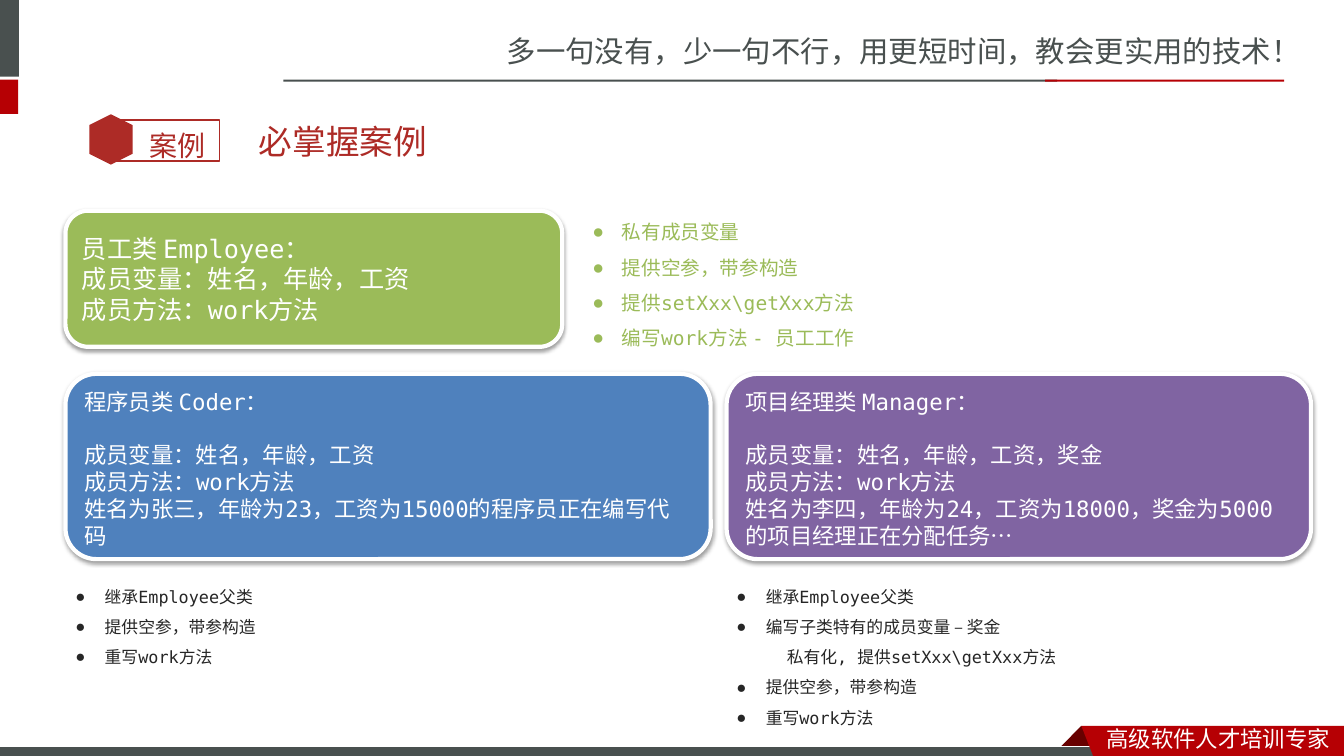
from dataclasses import dataclass
from lxml.etree import SubElement
from pptx import Presentation
from pptx.dml.color import RGBColor
from pptx.enum.shapes import MSO_SHAPE
from pptx.enum.text import MSO_ANCHOR, MSO_AUTO_SIZE, PP_ALIGN
from pptx.oxml.ns import qn
from pptx.util import Cm, Pt


@dataclass(frozen=True)
class Theme:
    gray: str = "49504F"
    red: str = "B60004"
    dark: str = "680000"
    brick: str = "AD2B26"
    green: str = "9BBB59"
    blue: str = "4F81BD"
    plum: str = "8064A2"
    ink: str = "262626"
    white: str = "FFFFFF"
    black: str = "000000"
    mono: str = "DejaVu Sans Mono"
    sans: str = "Noto Sans CJK SC"
    label: str = "Lato"
    head: str = "Arial"
    title: int = 24
    motto: int = 21
    badge: int = 20
    lead: int = 18
    body: int = 16
    note: int = 14
    small: int = 12


T = Theme()
TITLE = "必掌握案例"
MOTTO = "多一句没有，少一句不行，用更短时间，教会更实用的技术！"
FOOTER = "高级软件人才培训专家"
BADGE = "案例"
LEFT, RIGHT = 1.65, 18.31
MID, LOW = 9.42, 14.4

BARS = [
    ((-0.15, 0, 0.63, 1.93), T.gray),
    ((-0.15, 2.01, 0.61, 0.86), T.red),
    ((7.14, 2.01, 19.5, 0.05), T.gray),
    ((26.34, 2.01, 6.02, 0.05), T.red),
]
BASE = (-0.03, 18.82, 27.94, 0.3)
FOLD = [(27.25, 18.29), (27.81, 18.85), (27.79, 18.87), (26.72, 18.87), (26.7, 18.85)]
RIBBON = [(27.25, 18.29), (33.87, 18.29), (33.87, 19.15), (27.58, 19.13)]

CARDS = [
    ((RIGHT, MID, 14.73, 4.67), T.plum, T.body, MSO_ANCHOR.TOP, 19, [
        "项目经理类 Manager：",
        "成员变量：姓名，年龄，工资，奖金",
        "成员方法：work方法",
        "姓名为李四，年龄为24，工资为18000，奖金为5000的项目经理正在分配任务…",
    ]),
    ((LEFT, MID, 16.26, 4.67), T.blue, T.body, MSO_ANCHOR.TOP, 19, [
        "程序员类 Coder：",
        "成员变量：姓名，年龄，工资",
        "成员方法：work方法",
        "姓名为张三，年龄为23，工资为15000的程序员正在编写代码",
    ]),
    ((LEFT, 5.31, 12.52, 3.43), T.green, T.lead, MSO_ANCHOR.MIDDLE, 0, [
        "员工类 Employee：",
        "成员变量：姓名，年龄，工资",
        "成员方法：work方法",
    ]),
]

NOTES = [
    ((14.68, 5.13, 9.58, 3.76), T.green, T.note, [
        (0, "私有成员变量"),
        (0, "提供空参，带参构造"),
        (0, "提供setXxx\\getXxx方法"),
        (0, "编写work方法 - 员工工作"),
    ]),
    ((LEFT, LOW, 14.45, 2.49), T.ink, T.small, [
        (0, "继承Employee父类"),
        (0, "提供空参，带参构造"),
        (0, "重写work方法"),
    ]),
    ((RIGHT, LOW, 15.54, 4.04), T.ink, T.small, [
        (0, "继承Employee父类"),
        (0, "编写子类特有的成员变量 – 奖金"),
        (1, "私有化, 提供setXxx\\getXxx方法"),
        (0, "提供空参，带参构造"),
        (0, "重写work方法"),
    ]),
]


def paint(shape, fill=None, line=None, width=1):
    shape.shadow.inherit = False
    if fill:
        shape.fill.solid()
        shape.fill.fore_color.rgb = RGBColor.from_string(fill)
    else:
        shape.fill.background()
    if line:
        shape.line.color.rgb = RGBColor.from_string(line)
        shape.line.width = Pt(width)
    else:
        shape.line.fill.background()


def block(home, kind, at, fill=None, line=None, width=1):
    shape = home.add_shape(kind, *map(Cm, at))
    paint(shape, fill, line, width)
    return shape


def outline(home, spots, fill):
    first, *rest = [(Cm(x), Cm(y)) for x, y in spots]
    pen = home.build_freeform(*first)
    pen.add_line_segments(rest, close=True)
    paint(pen.convert_to_shape(), fill)


def shade(shape):
    effects = shape._element.spPr.find(qn("a:effectLst"))
    outer = SubElement(effects, qn("a:outerShdw"), blurRad=str(Pt(3.1)),
                       dist=str(Pt(1.6)), dir="5400000", rotWithShape="0")
    tint = SubElement(outer, qn("a:srgbClr"), val=T.black)
    SubElement(tint, qn("a:alpha"), val="38000")


def style(para, face, size, color):
    para.alignment = PP_ALIGN.LEFT
    for run in para.runs:
        run.font.name = face
        run.font.size = Pt(size)
        run.font.color.rgb = RGBColor.from_string(color)
        SubElement(run._r.get_or_add_rPr(), qn("a:ea"), typeface=T.sans)


def write(frame, lines, face, size, color):
    frame.text = "\n".join(lines)
    frame.word_wrap = True
    for para in frame.paragraphs:
        style(para, face, size, color)


def label(home, at, lines, face, size, color):
    frame = home.add_textbox(*map(Cm, at)).text_frame
    write(frame, lines, face, size, color)
    frame.auto_size = MSO_AUTO_SIZE.SHAPE_TO_FIT_TEXT
    return frame


def indent(para, level):
    props = para._p.get_or_add_pPr()
    if level:
        para.level = level
        props.set("marL", str(Cm(1.27)))
        props.set("indent", "0")
    else:
        props.set("marL", str(Cm(0.74)))
        props.set("indent", str(-Cm(0.74)))
        SubElement(props, qn("a:buFont"), typeface=T.head)
        SubElement(props, qn("a:buChar"), char="●")
    para.line_spacing = 1.5


def main():
    deck = Presentation()
    deck.slide_width, deck.slide_height = Cm(33.87), Cm(19.05)
    slide = deck.slides.add_slide(deck.slide_layouts[5])
    home = slide.shapes

    title = home.title
    title.left, title.top, title.width, title.height = map(Cm, (6.27, 2.82, 25.6, 1.45))
    write(title.text_frame, [TITLE], T.head, T.title, T.brick)
    title.text_frame.vertical_anchor = MSO_ANCHOR.MIDDLE
    title.text_frame.auto_size = MSO_AUTO_SIZE.NONE

    label(home, (12.52, 0.71, 21.36, 1.19), [MOTTO], T.sans, T.motto, T.gray)
    for at, fill in BARS:
        block(home, MSO_SHAPE.RECTANGLE, at, fill)
    outline(home, FOLD, T.dark)
    block(home, MSO_SHAPE.RECTANGLE, BASE, T.gray, T.white, 0.75)
    outline(home, RIBBON, T.red)
    label(home, (27.64, 18.16, 6.22, 0.94), [FOOTER], T.sans, T.body, T.white)

    badge = home.add_group_shape().shapes
    block(badge, MSO_SHAPE.RECTANGLE, (2.77, 3.02, 2.77, 1.04), line=T.brick)
    block(badge, MSO_SHAPE.HEXAGON, (2.16, 2.97, 1.27, 1.09), T.brick).rotation = 90
    frame = label(badge, (3.51, 2.69, 2.16, 1.42), [BADGE], T.label, T.badge, T.brick)
    frame.paragraphs[0].line_spacing = 1.5

    for at, fill, size, anchor, gap, lines in CARDS:
        card = block(home, MSO_SHAPE.ROUNDED_RECTANGLE, at, fill, T.white, 3)
        shade(card)
        write(card.text_frame, lines, T.mono, size, T.white)
        card.text_frame.vertical_anchor = anchor
        card.text_frame.paragraphs[1].space_before = Pt(gap)

    for at, color, size, items in NOTES:
        frame = label(home, at, [text for _, text in items], T.mono, size, color)
        for para, (level, _) in zip(frame.paragraphs, items):
            indent(para, level)

    deck.save("out.pptx")


if __name__ == "__main__":
    main()
